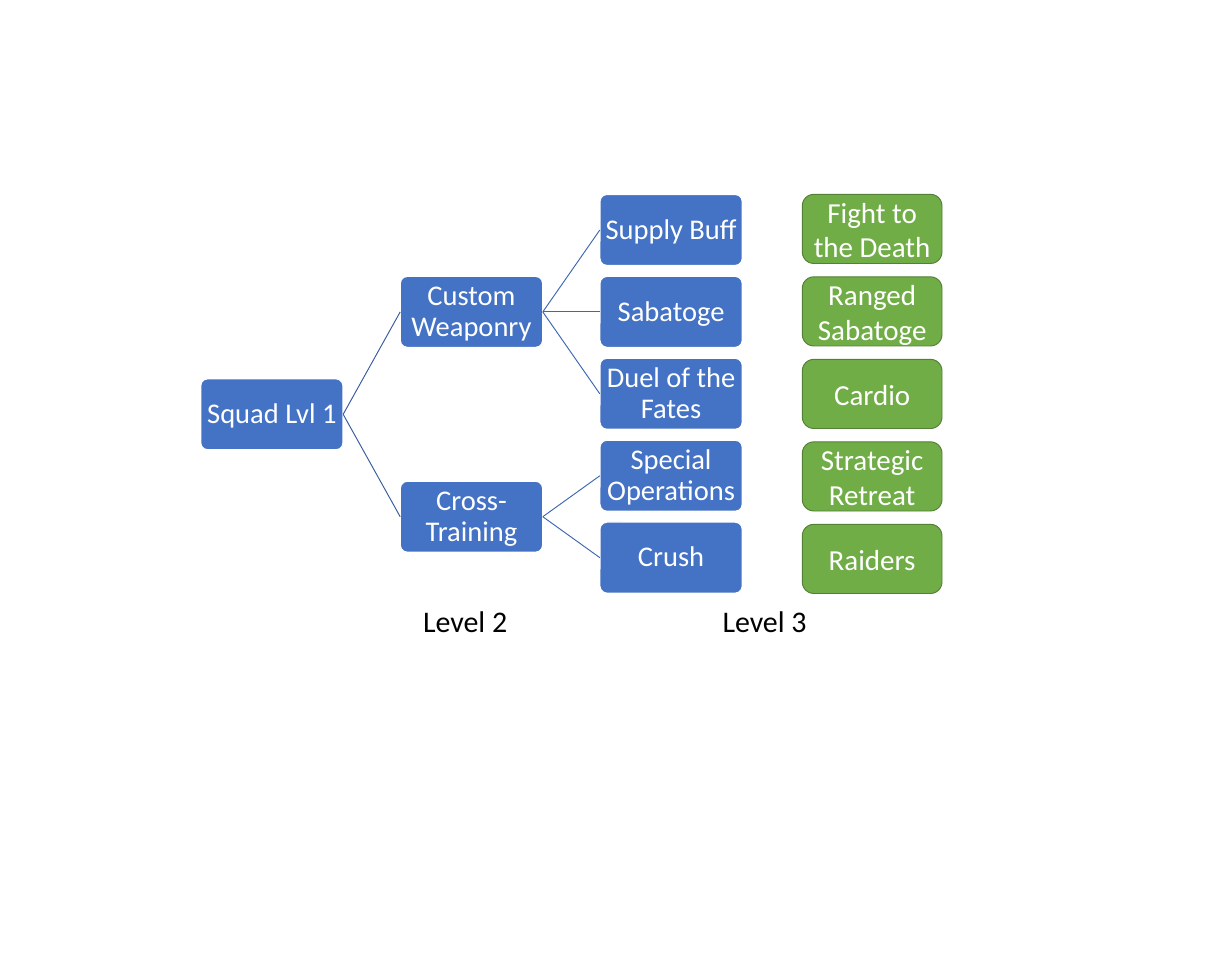
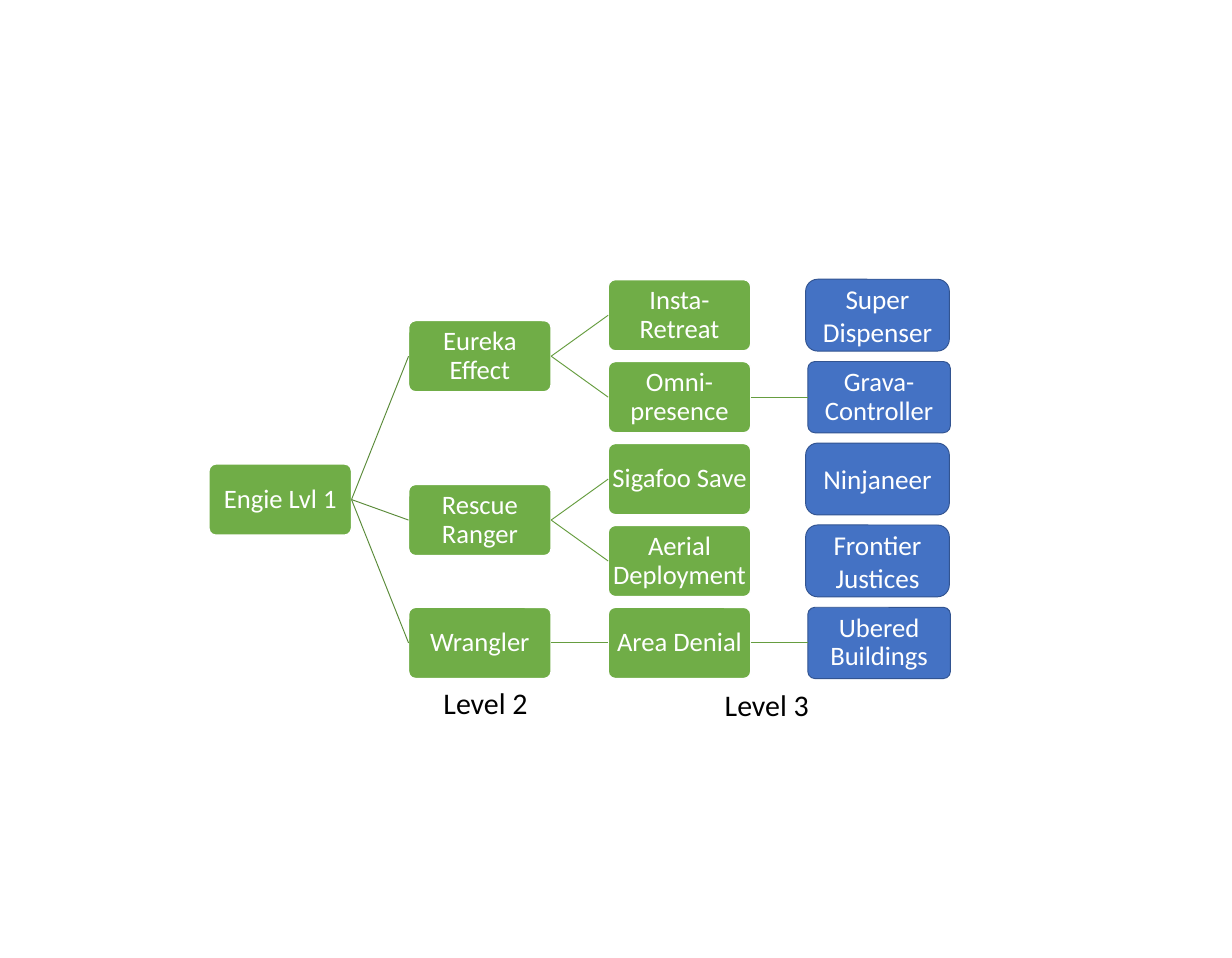
from dataclasses import dataclass

from lxml.etree import SubElement
from pptx import Presentation
from pptx.dml.color import RGBColor
from pptx.enum.shapes import MSO_CONNECTOR as Link, MSO_SHAPE as Outline
from pptx.enum.text import MSO_ANCHOR as Anchor, MSO_AUTO_SIZE as AutoSize, PP_ALIGN as Align
from pptx.oxml.ns import qn
from pptx.util import Pt


@dataclass(frozen=True)
class Palette:
    """Colours of one family of boxes and the links leaving them."""
    fill: str
    edge: str
    root_link: str
    branch_link: str


@dataclass(frozen=True)
class Theme:
    """Colours, font and sizes shared by the slides."""
    font: str = "Calibri"
    white: str = "FFFFFF"
    black: str = "000000"
    blue: Palette = Palette("4472C4", "325491", "365B9D", "3E67B2")
    green: Palette = Palette("70AD47", "538035", "5A8B39", "669D40")
    label_size: float = 31.5
    tree_edge: float = 1.5
    thin_edge: float = 1
    tree_corner: float = 0.1
    tree_inset: float = 1.5
    rows: int = 5
    columns: int = 4
    column_gap: float = 60


@dataclass(frozen=True)
class Box:
    """A region whose rows share its height with equal gaps."""
    left: float
    top: float
    width: float
    height: float
    row_gap: float = 0

    @property
    def row_height(self):
        """Return the height of one row."""
        return (self.height - (THEME.rows - 1) * self.row_gap) / THEME.rows

    def row_top(self, row):
        """Return the top of a row, which may be fractional."""
        return self.top + row * (self.row_height + self.row_gap)


@dataclass(frozen=True)
class Skill:
    """A skill and the skills it unlocks."""
    title: str
    unlocks: tuple = ()


@dataclass(frozen=True)
class SkillSlide:
    """Content and regions of one skill tree slide."""
    root: Skill
    main: Palette
    accent: Palette
    tree_box: Box
    tree_size: float
    bonuses: dict
    bonus_outline: Outline
    bonus_box: Box
    bonus_size: float
    level_boxes: dict


THEME = Theme()


def rgb(color):
    """Turn a hex string into a colour."""
    return RGBColor.from_string(color)


def write(paragraph, words, size, color):
    """Add one formatted run to a paragraph."""
    run = paragraph.add_run()
    run.text = words
    run.font.name = THEME.font
    run.font.size = Pt(size)
    run.font.color.rgb = rgb(color)


def add_cell(slide, outline, box, words, size, fill, edge, edge_width):
    """Draw a filled cell with centred white text."""
    cell = slide.shapes.add_shape(outline, Pt(box.left), Pt(box.top), Pt(box.width), Pt(box.height))
    cell.shadow.inherit = False
    cell.fill.solid()
    cell.fill.fore_color.rgb = rgb(fill)
    cell.line.color.rgb = rgb(edge)
    cell.line.width = Pt(edge_width)
    frame = cell.text_frame
    frame.word_wrap = True
    frame.vertical_anchor = Anchor.MIDDLE
    frame.paragraphs[0].alignment = Align.CENTER
    write(frame.paragraphs[0], words, size, THEME.white)
    return cell


def add_link(slide, parent, child, color):
    """Join the right side of a parent to the left side of a child."""
    link = slide.shapes.add_connector(Link.STRAIGHT, 0, 0, 0, 0)
    link.begin_connect(parent, 3)
    link.end_connect(child, 1)
    link.line.color.rgb = rgb(color)
    link.line.width = Pt(THEME.thin_edge)
    SubElement(link._element.spPr, qn("a:effectLst"))


def add_tree(slide, box, content):
    """Draw the tree in a box, each parent midway between its outer children."""
    width = (box.width - (THEME.columns - 1) * THEME.column_gap) / THEME.columns
    free_rows = iter(range(THEME.rows))

    def add_branch(skill, depth):
        """Draw a skill after its children and return its cell and row."""
        children = [add_branch(unlock, depth + 1) for unlock in skill.unlocks]
        row = (children[0][1] + children[-1][1]) / 2 if children else next(free_rows)
        place = Box(box.left + depth * (width + THEME.column_gap), box.row_top(row),
                    width, box.row_height)
        last_column = depth == THEME.columns - 1
        style = ((content.accent.fill, content.accent.edge, THEME.thin_edge) if last_column
                 else (content.main.fill, THEME.white, THEME.tree_edge))
        cell = add_cell(slide, Outline.ROUNDED_RECTANGLE, place, skill.title,
                        content.tree_size, *style)
        cell.adjustments[0] = THEME.tree_corner
        frame = cell.text_frame
        frame.margin_left = frame.margin_right = Pt(THEME.tree_inset)
        frame.margin_top = frame.margin_bottom = Pt(THEME.tree_inset)
        frame.paragraphs[0].line_spacing = 0.9
        color = content.main.branch_link if depth else content.main.root_link
        for child, _ in children:
            add_link(slide, cell, child, color)
        return cell, row

    add_branch(content.root, 0)


def add_bonuses(slide, box, content):
    """Draw the unlinked bonus skills in the rows of a box."""
    for row, title in content.bonuses.items():
        place = Box(box.left, box.row_top(row), box.width, box.row_height)
        add_cell(slide, content.bonus_outline, place, title, content.bonus_size,
                 content.accent.fill, content.accent.edge, THEME.thin_edge)


def add_level(slide, box, words):
    """Write a level label in a box."""
    label = slide.shapes.add_textbox(Pt(box.left), Pt(box.top), Pt(box.width), Pt(box.height))
    label.text_frame.word_wrap = False
    label.text_frame.auto_size = AutoSize.SHAPE_TO_FIT_TEXT
    write(label.text_frame.paragraphs[0], words, THEME.label_size, THEME.black)


def add_skill_slide(deck, content):
    """Add a slide with a tree, its bonuses and its level labels."""
    slide = deck.slides.add_slide(deck.slide_layouts[6])
    add_tree(slide, content.tree_box, content)
    add_bonuses(slide, content.bonus_box, content)
    for words, box in content.level_boxes.items():
        add_level(slide, box, words)


SQUAD = SkillSlide(
    root=Skill("Squad Lvl 1", (
        Skill("Custom Weaponry", (
            Skill("Supply Buff"), Skill("Sabatoge"), Skill("Duel of the Fates"))),
        Skill("Cross-Training", (Skill("Special Operations"), Skill("Crush"))),
    )),
    main=THEME.blue,
    accent=THEME.green,
    tree_box=Box(211, 204.5, 780, 419.8, 11.2),
    tree_size=30,
    bonuses=dict(enumerate((
        "Fight to the Death", "Ranged Sabatoge", "Cardio", "Strategic Retreat", "Raiders"))),
    bonus_outline=Outline.FLOWCHART_ALTERNATE_PROCESS,
    bonus_box=Box(844, 204.5, 147, 420, 14),
    bonus_size=30.5,
    level_boxes={"Level 2": Box(438, 630.7, 104.4, 45.4),
                 "Level 3": Box(753, 630.7, 104.4, 45.4)},
)

ENGIE = SkillSlide(
    root=Skill("Engie Lvl 1", (
        Skill("Eureka Effect", (
            Skill("Insta-Retreat"),
            Skill("Omni-presence", (Skill("Grava-Controller"),)))),
        Skill("Rescue Ranger", (Skill("Sigafoo Save"), Skill("Aerial Deployment"))),
        Skill("Wrangler", (Skill("Area Denial", (Skill("Ubered Buildings"),)),)),
    )),
    main=THEME.green,
    accent=THEME.blue,
    tree_box=Box(219.8, 294.2, 780, 419.8, 11.2),
    tree_size=28,
    bonuses={0: "Super Dispenser", 2: "Ninjaneer", 3: "Frontier Justices"},
    bonus_outline=Outline.ROUNDED_RECTANGLE,
    bonus_box=Box(847.5, 293.8, 151.2, 420.4, 10.6),
    bonus_size=28.6,
    level_boxes={"Level 2": Box(459.4, 716.4, 104.4, 45.4),
                 "Level 3": Box(755.3, 719.3, 104.4, 45.4)},
)


def main():
    """Build and save the deck."""
    deck = Presentation()
    deck.slide_width, deck.slide_height = Pt(1296), Pt(1008)
    for content in (SQUAD, ENGIE):
        add_skill_slide(deck, content)
    deck.save("out.pptx")


if __name__ == "__main__":
    main()
